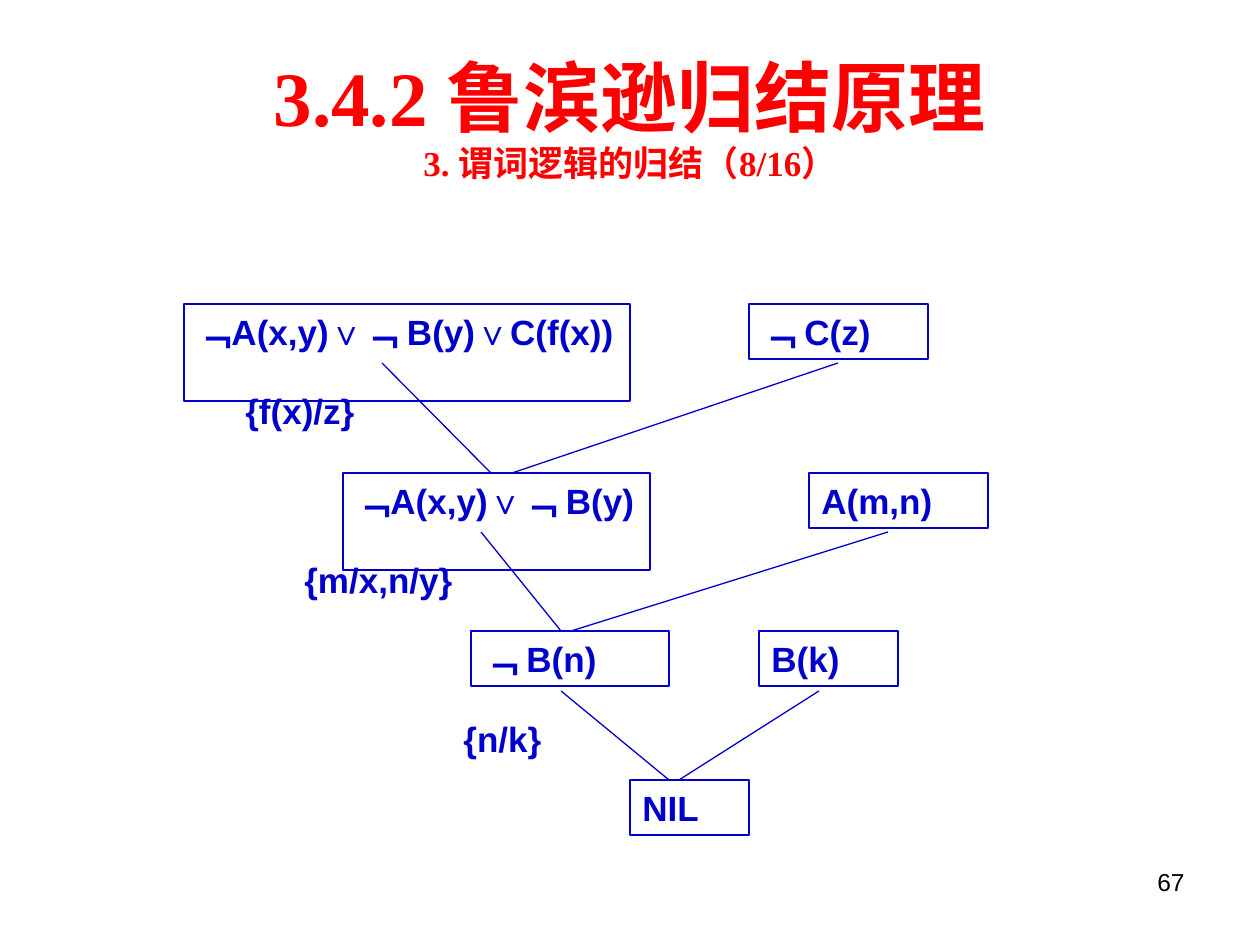
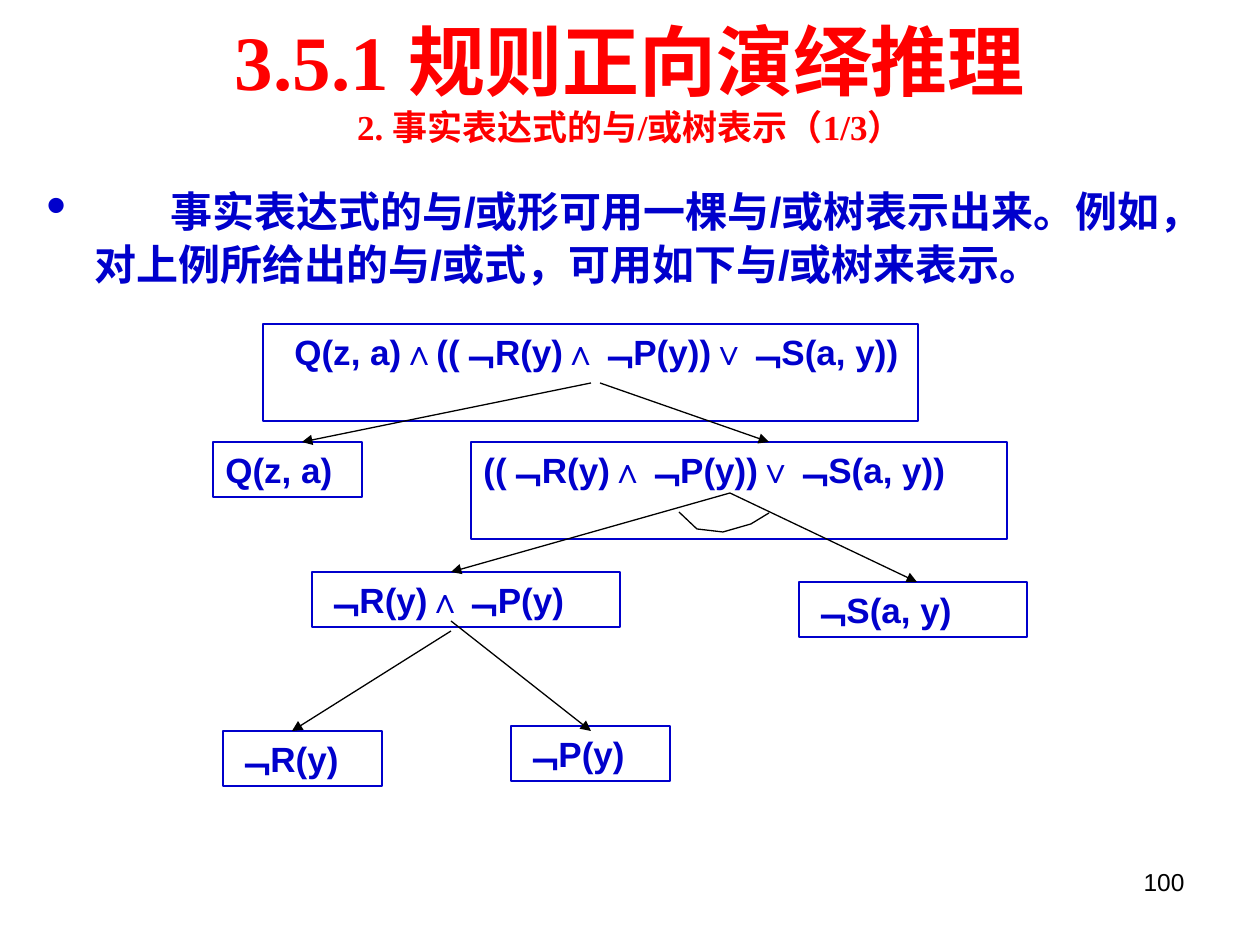
from lxml.etree import SubElement
from pptx import Presentation
from pptx.dml.color import RGBColor
from pptx.enum.shapes import MSO_CONNECTOR, MSO_SHAPE
from pptx.enum.text import MSO_ANCHOR as ANCHOR, MSO_AUTO_SIZE as AUTO, PP_ALIGN as ALIGN
from pptx.oxml.ns import qn
from pptx.util import Pt

PX = 914400 / 126  # EMU in one pixel
RED = RGBColor(0xFF, 0x00, 0x00)
BLUE = RGBColor(0x00, 0x00, 0xCC)
BLACK = RGBColor(0x00, 0x00, 0x00)
SANS, SERIF = "Arial", "Times New Roman"
LINE_W = Pt(0.74)
ROW_H, TWO_ROW_H = 55, 97


def px(*values):
    return [round(v * PX) for v in values]


# ---- Text ----
def add_text(p, text, size=20, color=BLUE, font=SANS, bold=True, align=ALIGN.LEFT):
    p.alignment = align
    r = p.add_run()
    r.text = text
    r.font.size, r.font.name, r.font.bold = Pt(size), font, bold
    r.font.color.rgb = color
    return r


def set_indent(p, margin, first_line):
    pPr = p._p.get_or_add_pPr()
    for name, value in zip(("marL", "indent"), px(margin, first_line)):
        pPr.set(name, str(value))
    return pPr


def text_frame(shape, anchor=ANCHOR.TOP, grow=False):
    tf = shape.text_frame
    tf.word_wrap = True
    tf.vertical_anchor = anchor
    tf.auto_size = AUTO.SHAPE_TO_FIT_TEXT if grow else AUTO.NONE
    return tf


def text_box(s, x, y, w, h, **frame):
    return text_frame(s.shapes.add_textbox(*px(x, y, w, h)), **frame).paragraphs[0]


def add_title(s, y, h, heading, subheading):
    p = text_box(s, 63, y, 1134, h, anchor=ANCHOR.MIDDLE)
    style = dict(color=RED, font=SERIF, align=ALIGN.CENTER)
    add_text(p, heading, size=44, **style)
    p.add_line_break()
    add_text(p, subheading, **style)


def add_page_number(s, number):
    p = text_box(s, 903, 861, 294, 66)
    add_text(p, str(number), size=14, color=BLACK, bold=False, align=ALIGN.RIGHT)


def add_bullet(s, x, y, w, h, text):
    p = text_box(s, x, y, w, h)
    # A widened space sets the first words in from the bullet
    lead = add_text(p, " ", size=32)
    lead.font._element.set("spc", "3600")
    add_text(p, text, size=24)
    pPr = set_indent(p, 48, -48)
    color = SubElement(pPr, qn("a:buClr"))
    SubElement(color, qn("a:srgbClr"), val=str(BLUE))
    SubElement(pPr, qn("a:buFont"), typeface=SANS)
    SubElement(pPr, qn("a:buChar"), char="•")


def add_label(s, x, y, w, text):
    add_text(text_box(s, x, y, w, ROW_H, grow=True), text)


# ---- Tree parts ----
def outline(shape, color):
    shape.shadow.inherit = False
    shape.fill.background()
    shape.line.color.rgb = color
    shape.line.width = LINE_W


def add_node(s, x, y, w, text, h=ROW_H, first_line=0):
    sp = s.shapes.add_shape(MSO_SHAPE.RECTANGLE, *px(x, y, w, h))
    outline(sp, BLUE)
    p = text_frame(sp, grow=True).paragraphs[0]
    add_text(p, text)
    if first_line:
        set_indent(p, 0, first_line)


def add_edge(s, x1, y1, x2, y2, color=BLUE, arrow=False):
    c = s.shapes.add_connector(MSO_CONNECTOR.STRAIGHT, *px(x1, y1, x2, y2))
    c.line.color.rgb = color
    c.line.width = LINE_W
    spPr = c._element.spPr
    if arrow:
        SubElement(spPr.find(qn("a:ln")), qn("a:tailEnd"), type="triangle")
    SubElement(spPr, qn("a:effectLst"))


def add_arc(s, points):
    builder = s.shapes.build_freeform(*points[0], scale=PX)
    builder.add_line_segments(points[1:], close=False)
    outline(builder.convert_to_shape(), BLACK)


# ---- Slides ----
def resolution_slide(s):
    add_title(s, 38, 157, "3.4.2 鲁滨逊归结原理", "3. 谓词逻辑的归结（8/16）")
    add_node(s, 184, 304, 446, "﹁A(x,y)∨﹁ B(y)∨C(f(x))", h=TWO_ROW_H)
    add_node(s, 749, 304, 179, "﹁ C(z)")
    add_node(s, 343, 473, 307, "﹁A(x,y)∨﹁ B(y)", h=TWO_ROW_H)
    add_node(s, 809, 473, 179, "A(m,n)")
    add_node(s, 471, 631, 198, "﹁ B(n)")
    add_node(s, 759, 631, 139, "B(k)")
    add_node(s, 630, 780, 119, "NIL")
    # Substitutions
    for x, y, w, text in [(233, 383, 149, "{f(x)/z}"),
                          (292, 552, 179, "{m/x,n/y}"),
                          (451, 711, 108, "{n/k}")]:
        add_label(s, x, y, w, text)
    # Each step: top, bottom, then (start x, end x) of its two edges
    for top, bottom, *edges in [(363, 473, (382, 491), (838, 512)),
                                (532, 631, (481, 561), (888, 571)),
                                (691, 780, (561, 669), (819, 679))]:
        for x1, x2 in edges:
            add_edge(s, x1, top, x2, bottom)
    add_page_number(s, 67)


def and_or_tree_slide(s):
    add_title(s, 6, 149, "3.5.1 规则正向演绎推理", "2. 事实表达式的与/或树表示（1/3）")
    add_bullet(s, 34, 165, 1163, 753,
               "事实表达式的与/或形可用一棵与/或树表示出来。例如，"
               "对上例所给出的与/或式，可用如下与/或树来表示。")
    add_node(s, 263, 324, 655, "Q(z, a)∧((﹁R(y)∧﹁P(y))∨﹁S(a, y))",
             h=TWO_ROW_H, first_line=19)
    add_node(s, 213, 442, 149, "Q(z, a)")
    add_node(s, 471, 442, 536, "((﹁R(y)∧﹁P(y))∨﹁S(a, y))", h=TWO_ROW_H)
    add_node(s, 312, 572, 308, "﹁R(y)∧﹁P(y)")
    add_node(s, 799, 582, 228, "﹁S(a, y)")
    add_node(s, 223, 731, 159, "﹁R(y)")
    add_node(s, 511, 726, 159, "﹁P(y)")
    for ends in [(591, 383, 302, 442), (600, 383, 769, 442),
                 (730, 493, 451, 572), (730, 493, 917, 582),
                 (451, 631, 292, 731), (451, 621, 591, 731)]:
        add_edge(s, *ends, color=BLACK, arrow=True)
    add_arc(s, [(679, 512), (697, 529), (723, 532), (751, 524), (769, 513)])
    add_page_number(s, 100)


def main():
    prs = Presentation()
    prs.slide_width, prs.slide_height = px(1260, 945)
    for build in (resolution_slide, and_or_tree_slide):
        build(prs.slides.add_slide(prs.slide_layouts[6]))
    prs.save("out.pptx")


main()
